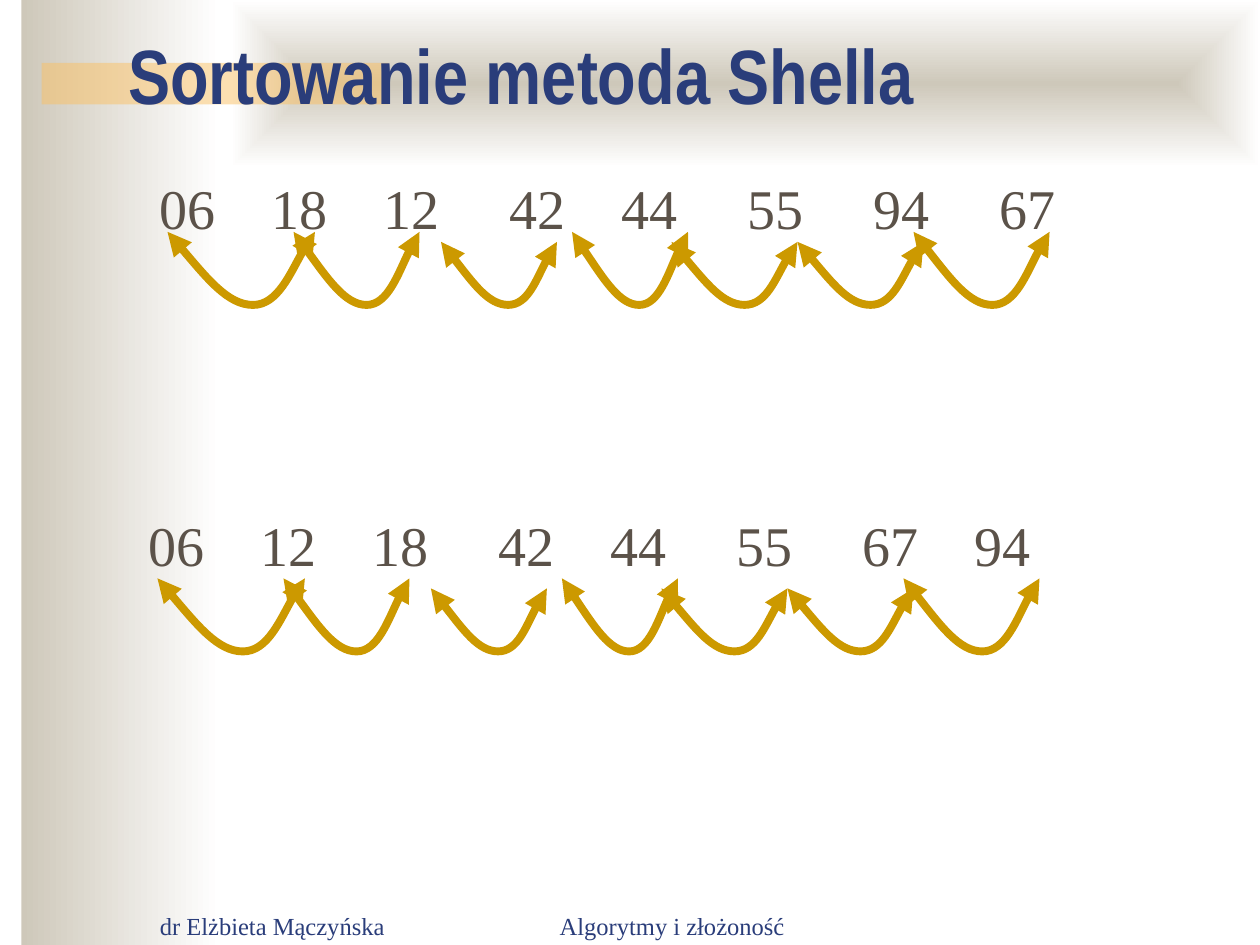
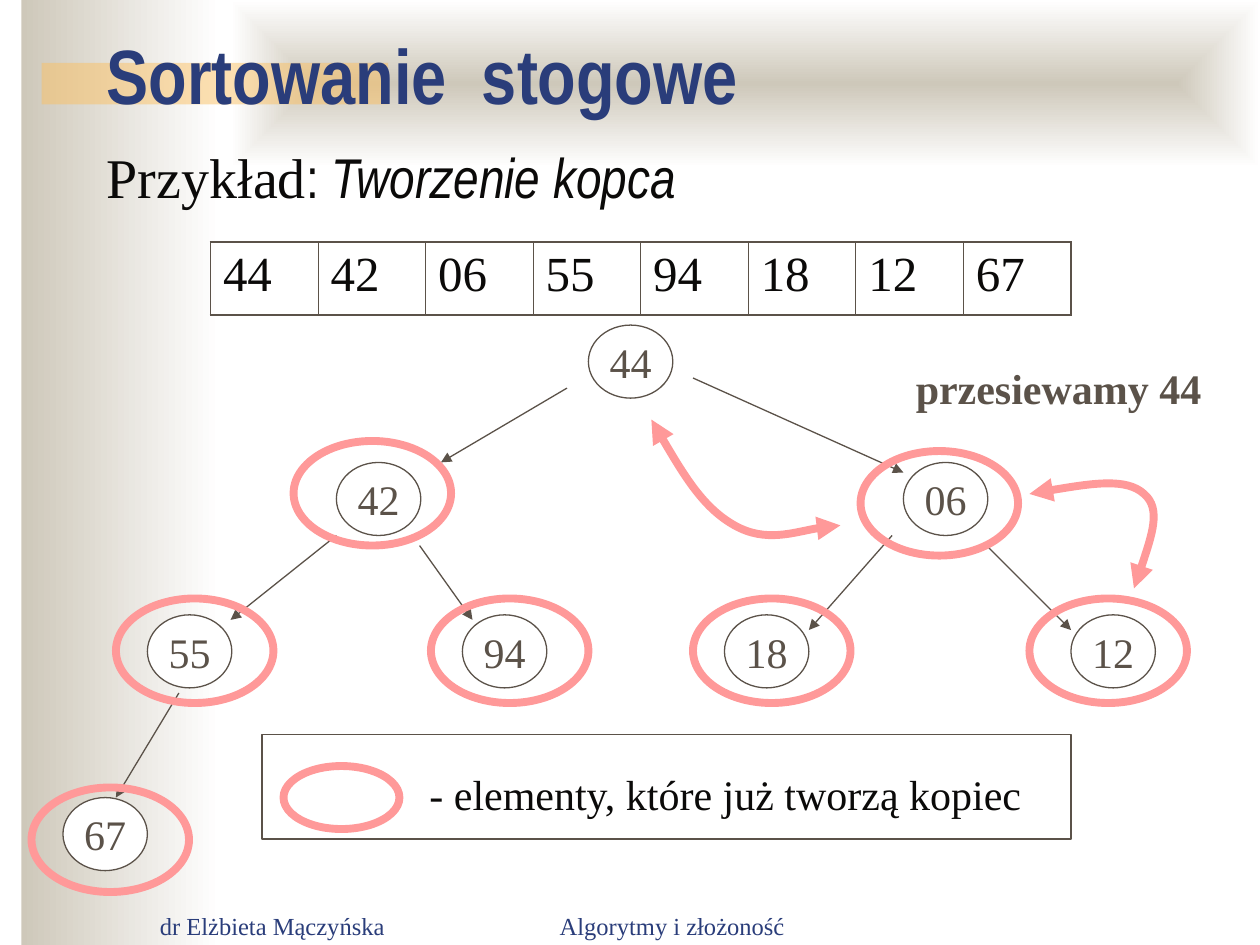
from itertools import accumulate
from lxml.etree import SubElement
from pptx import Presentation
from pptx.dml.color import RGBColor
from pptx.enum.shapes import MSO_CONNECTOR, MSO_SHAPE
from pptx.enum.text import MSO_ANCHOR, PP_ALIGN
from pptx.oxml.ns import qn
from pptx.util import Inches, Pt

# Shared style
NAVY = RGBColor(0x2A, 0x3D, 0x7A)
BROWN = RGBColor(0x5B, 0x52, 0x49)
BLACK = RGBColor(0x0B, 0x0A, 0x09)
SAND = RGBColor(0xCE, 0xC8, 0xBA)
WHITE = RGBColor(0xFF, 0xFF, 0xFF)
ORANGE = RGBColor(0xFA, 0xC1, 0x64)
GOLD = RGBColor(0xCC, 0x99, 0x00)
PINK = RGBColor(0xFF, 0x99, 0x99)
SERIF, NARROW = "Times New Roman", "Arial Narrow"
THIN, THICK = 0.75, 4.5
FOOTERS = [
    ("dr Elżbieta Mączyńska", (1.17, 7.01, 2.08, 0.5), PP_ALIGN.LEFT),
    ("Algorytmy i złożoność", (3.75, 7.01, 3.17, 0.5), PP_ALIGN.CENTER),
]

# Shell sort: numbers, gaps in spaces, and text and arc origins of each pass
SHELL_TITLE = "Sortowanie metoda Shella"
SHELL_PASSES = [
    (["06", "18", "12", "42", "44", "55", "94", "67"], [4, 4, 5, 4, 5, 5, 5], (1.17, 1.33), (1.33, 2.42)),
    (["06", "12", "18", "42", "44", "55", "67", "94"], [4, 4, 5, 4, 5, 5, 4], (1.08, 4), (1.25, 5.17)),
]
NUMBER_WIDTH, SPACE_WIDTH = 4 / 9, 1 / 9
# Arcs: offset from the arc origin, width, depth
SHELL_ARCS = [(0, 1.17, 0.58), (1, 1, 0.58), (2.17, 0.92, 0.5), (3.21, 0.92, 0.58),
              (4, 1, 0.5), (5, 1, 0.5), (5.92, 1.08, 0.58)]
# Curve points as shares of the arc's width and depth
ARC_PROFILE = [(0, 0), (0.21, 0.5), (0.41, 1), (0.58, 1), (0.75, 1), (0.93, 0.17), (1, 0)]

# Heap sort: node label, position, ring offset from the node
HEAP_TITLE = "Sortowanie  stogowe"
HEAP_SUBTITLE = [("Przykład", SERIF, False), (": ", NARROW, False), ("Tworzenie kopca", NARROW, True)]
HEAP_ARRAY = ["44", "42", "06", "55", "94", "18", "12", "67"]
HEAP_NODES = [
    ("44", (4.67, 2.58), None),
    ("42", (2.67, 3.67), (-0.34, -0.17)),
    ("06", (7.17, 3.67), (-0.34, -0.09)),
    ("55", (1.17, 4.88), (-0.25, -0.13)),
    ("94", (3.67, 4.88), (-0.25, -0.13)),
    ("18", (5.75, 4.88), (-0.25, -0.13)),
    ("12", (8.5, 4.88), (-0.33, -0.13)),
    ("67", (0.5, 6.33), (-0.25, -0.08)),
]
NODE_SIZE, RING_SIZE = (0.67, 0.58), (1.25, 0.83)
HEAP_EDGES = [
    ((4.5, 3.08), (3.5, 3.67)), ((2.67, 4.25), (1.83, 4.92)),
    ((1.42, 5.5), (0.92, 6.33)), ((3.33, 4.33), (3.75, 4.92)),
    ((5.5, 3), (7.17, 3.75)), ((7.83, 4.33), (8.5, 5)), ((7.08, 4.25), (6.42, 5)),
]
SIFT_CURVES = [
    [(5.17, 3.33), (5.37, 3.68), (5.58, 4.03), (5.83, 4.17), (6.08, 4.31), (6.51, 4.17), (6.67, 4.17)],
    [(8.17, 3.92), (8.56, 3.85), (8.94, 3.79), (9.08, 3.92), (9.22, 4.04), (9.11, 4.35), (9, 4.67)],
]
SIFT_NOTE = "przesiewamy 44"
LEGEND = "- elementy, które już tworzą kopiec"


# Helpers
def inches(values):
    return [Inches(value) for value in values]


def format_runs(paragraph, size, color, font=SERIF, bold=False):
    for run in paragraph.runs:
        run.font.size, run.font.name, run.font.bold = Pt(size), font, bold
        run.font.color.rgb = color


def add_text(slide, text, box, size, color, font=SERIF, bold=False,
             anchor=MSO_ANCHOR.TOP, align=PP_ALIGN.LEFT, wrap=True):
    frame = slide.shapes.add_textbox(*inches(box)).text_frame
    frame.text = text
    frame.word_wrap, frame.vertical_anchor = wrap, anchor
    paragraph = frame.paragraphs[0]
    paragraph.alignment = align
    format_runs(paragraph, size, color, font, bold)
    return paragraph


def add_outline(slide, kind, box, line=None, width=THIN, fill=None):
    shape = slide.shapes.add_shape(kind, *inches(box))
    shape.shadow.inherit = False
    if fill is None:
        shape.fill.background()
    else:
        shape.fill.solid()
        shape.fill.fore_color.rgb = fill
    if line is None:
        shape.line.fill.background()
    else:
        shape.line.color.rgb, shape.line.width = line, Pt(width)
    return shape


def add_ring(slide, box):
    add_outline(slide, MSO_SHAPE.OVAL, box, PINK, THICK)


def fade(shape):
    shape.fill.gradient()
    shape.fill.gradient_angle = 0
    for stop, color in zip(shape.fill.gradient_stops, (SAND, WHITE)):
        stop.color.rgb = color


def add_arrowheads(shape, *ends):
    for end in ends:
        SubElement(shape.line._get_or_add_ln(), qn(f"a:{end}"), type="triangle")


def add_curve(slide, points, color):
    (start, *rest) = [tuple(inches(point)) for point in points]
    builder = slide.shapes.build_freeform(*start)
    builder.add_line_segments(rest, close=False)
    shape = builder.convert_to_shape()
    shape.shadow.inherit = False
    shape.fill.background()
    shape.line.color.rgb, shape.line.width = color, Pt(THICK)
    add_arrowheads(shape, "headEnd", "tailEnd")
    # Every three segments become one cubic curve
    outline = next(shape._element.iter(qn("a:path")))
    segments = outline.findall(qn("a:lnTo"))
    for first in range(0, len(segments), 3):
        cubic = SubElement(outline, qn("a:cubicBezTo"))
        for segment in segments[first:first + 3]:
            cubic.append(segment[0])
            outline.remove(segment)


def add_base_slide(presentation, title, title_box, anchor):
    slide = presentation.slides.add_slide(presentation.slide_layouts[6])
    fade(add_outline(slide, MSO_SHAPE.RECTANGLE, (0.17, 0, 1.58, 7.5)))
    top_band = add_outline(slide, MSO_SHAPE.RECTANGLE, (1.83, 0, 8.17, 1.33))
    fade(top_band)
    gradient = top_band._element.spPr.find(qn("a:gradFill"))
    gradient.remove(gradient.find(qn("a:lin")))
    centre = SubElement(gradient, qn("a:path"), path="rect")
    SubElement(centre, qn("a:fillToRect"), l="50000", t="50000", r="50000", b="50000")
    accent = add_outline(slide, MSO_SHAPE.RECTANGLE, (0.33, 0.5, 2.75, 0.33), fill=ORANGE)
    color = next(accent._element.spPr.iter(qn("a:srgbClr")))
    SubElement(color, qn("a:alpha"), val="50000")
    for text, box, align in FOOTERS:
        add_text(slide, text, box, 14, NAVY, anchor=MSO_ANCHOR.BOTTOM, align=align)
    add_text(slide, title, title_box, 44, NAVY, NARROW, True, anchor)
    return slide


def add_number_row(slide, numbers, gaps, origin):
    paragraph = add_text(slide, "\t".join(numbers), (*origin, 7.83, 0.75), 32, BROWN)
    tabs = SubElement(paragraph._p.get_or_add_pPr(), qn("a:tabLst"))
    for position in accumulate(NUMBER_WIDTH + gap * SPACE_WIDTH for gap in gaps):
        SubElement(tabs, qn("a:tab"), pos=str(Inches(position)), algn="l")


def add_array_table(slide, values):
    last = len(values) - 1
    frame = slide.shapes.add_table(1, len(values), *inches((1.67, 1.92, 6.83, 0.58)))
    table = frame.table
    table.first_row = table.horz_banding = False
    for index, value in enumerate(values):
        cell = table.cell(0, index)
        cell.text = value
        cell.fill.background()
        format_runs(cell.text_frame.paragraphs[0], 28, BLACK)
        widths = {"lnL": 1.08 if index == 0 else 0.45, "lnR": 1.08 if index == last else 0.45,
                  "lnT": 1.08, "lnB": 1.08}
        properties = cell._tc.get_or_add_tcPr()
        for order, (side, width) in enumerate(widths.items()):
            border = SubElement(properties, qn(f"a:{side}"), w=str(Pt(width)))
            SubElement(SubElement(border, qn("a:solidFill")), qn("a:srgbClr"), val=str(BROWN))
            properties.insert(order, border)


def add_node(slide, label, position):
    node = add_outline(slide, MSO_SHAPE.OVAL, (*position, *NODE_SIZE), BROWN, fill=WHITE)
    frame = node.text_frame
    frame.text = label
    frame.word_wrap, frame.vertical_anchor = False, MSO_ANCHOR.MIDDLE
    frame.paragraphs[0].alignment = PP_ALIGN.CENTER
    format_runs(frame.paragraphs[0], 24, BROWN)


def add_edge(slide, start, end):
    edge = slide.shapes.add_connector(MSO_CONNECTOR.STRAIGHT, *inches((*start, *end)))
    edge.line.color.rgb, edge.line.width = BROWN, Pt(THIN)
    add_arrowheads(edge, "tailEnd")
    SubElement(edge._element.spPr, qn("a:effectLst"))


# Slides
def build_shell_slide(presentation):
    slide = add_base_slide(presentation, SHELL_TITLE, (0.92, 0.08, 8.5, 0.92), MSO_ANCHOR.BOTTOM)
    for numbers, gaps, text_origin, (arc_left, arc_bottom) in SHELL_PASSES:
        add_number_row(slide, numbers, gaps, text_origin)
        for offset, width, depth in SHELL_ARCS:
            add_curve(slide, [(arc_left + offset + across * width, arc_bottom - (1 - down) * depth)
                              for across, down in ARC_PROFILE], GOLD)


def build_heap_slide(presentation):
    slide = add_base_slide(presentation, HEAP_TITLE, (0.75, 0, 8.5, 1.17), MSO_ANCHOR.MIDDLE)
    subtitle = add_text(slide, "", (0.75, 1.08, 8.5, 0.75), 32, BLACK)
    for text, font, italic in HEAP_SUBTITLE:
        run = subtitle.add_run()
        run.text = text
        run.font.name, run.font.size, run.font.italic = font, Pt(32), italic
        run.font.color.rgb = BLACK
    add_array_table(slide, HEAP_ARRAY)

    # Tree
    for label, position, _ in HEAP_NODES:
        add_node(slide, label, position)
    for start, end in HEAP_EDGES:
        add_edge(slide, start, end)
    for _, (left, top), ring in HEAP_NODES:
        if ring:
            add_ring(slide, (left + ring[0], top + ring[1], *RING_SIZE))

    # Legend and sifting
    add_outline(slide, MSO_SHAPE.RECTANGLE, (2.08, 5.83, 6.42, 0.83), BROWN)
    add_ring(slide, (2.25, 6.08, 0.92, 0.5))
    add_text(slide, LEGEND, (3.31, 6.05, 4.92, 0.5), 24, BLACK, wrap=False)
    add_text(slide, SIFT_NOTE, (7.17, 2.83, 2.47, 0.5), 24, BROWN, bold=True, wrap=False)
    for points in SIFT_CURVES:
        add_curve(slide, points, PINK)


def main():
    presentation = Presentation()
    presentation.slide_width, presentation.slide_height = Inches(10), Inches(7.5)
    build_shell_slide(presentation)
    build_heap_slide(presentation)
    presentation.save("out.pptx")


if __name__ == "__main__":
    main()
